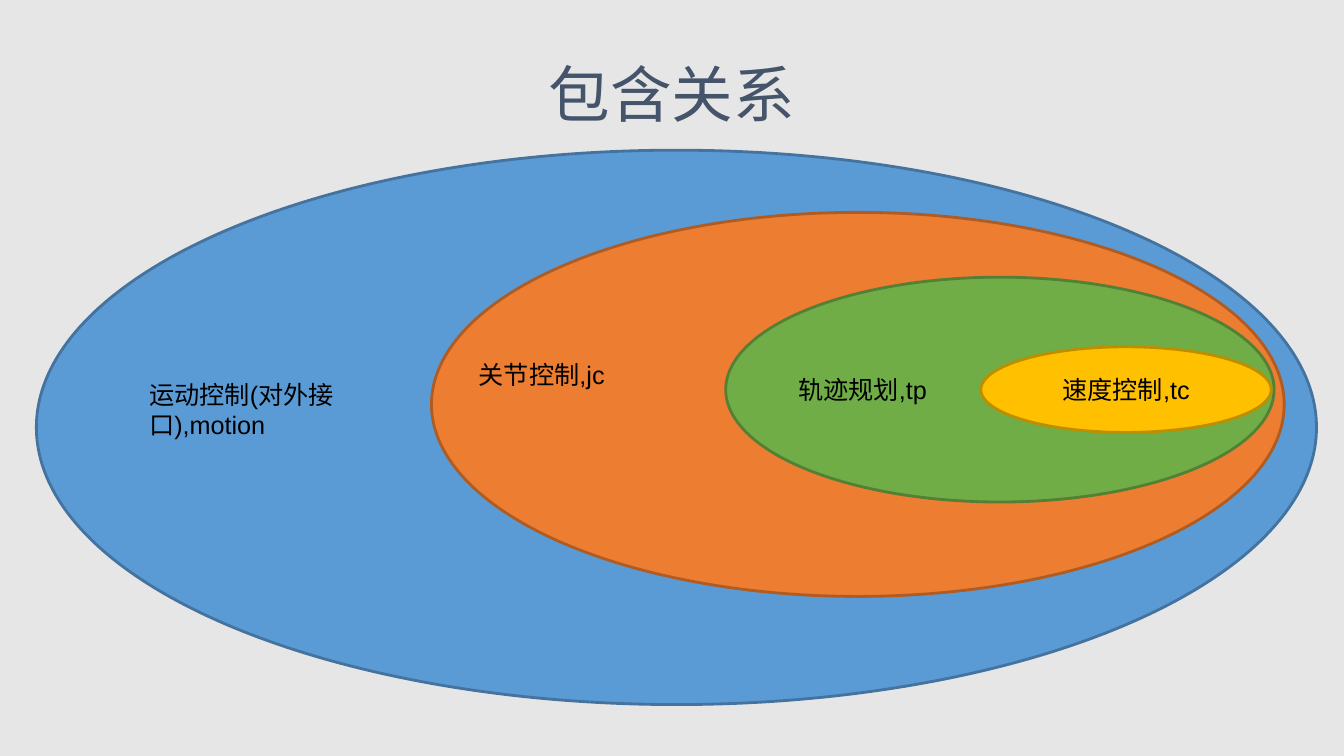
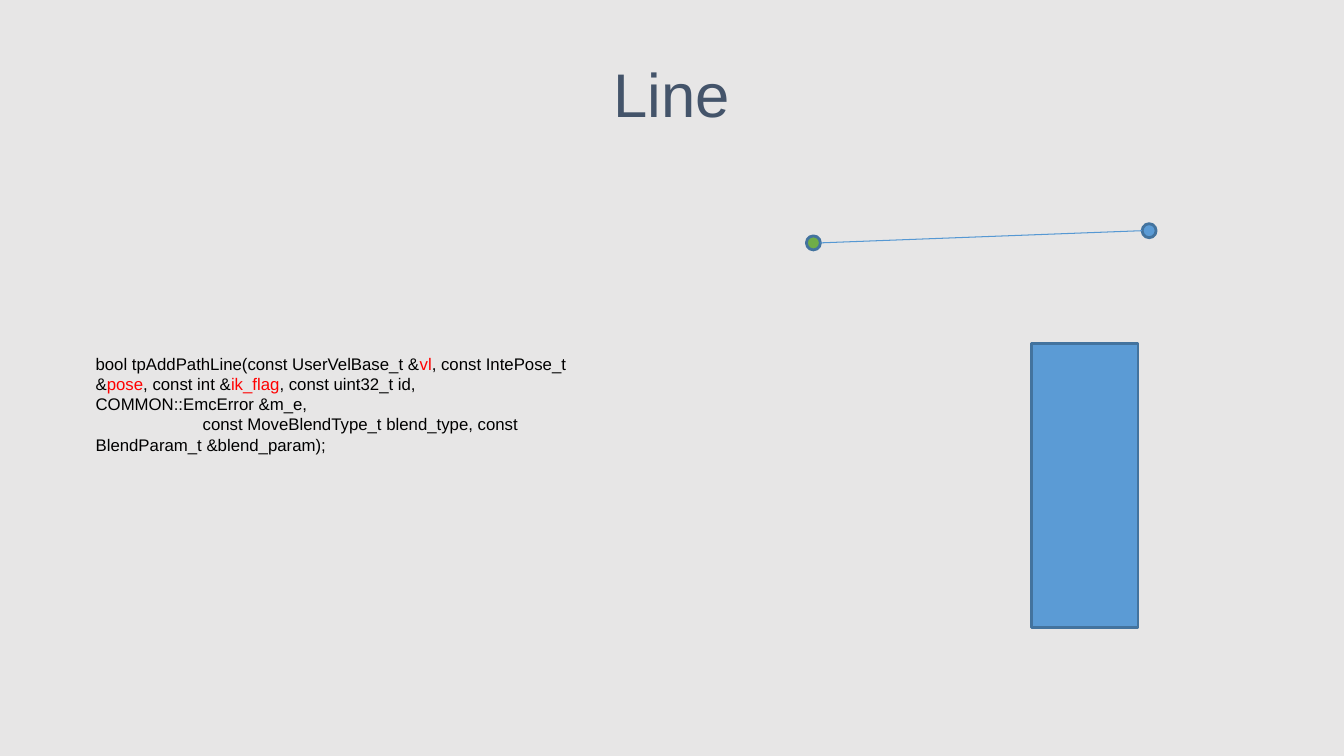
from dataclasses import dataclass

import pptx
import pptx.dml.color
import pptx.enum.shapes
import pptx.enum.text
import pptx.oxml.ns
import pptx.util
from lxml import etree

Pt = pptx.util.Pt
RGB = pptx.dml.color.RGBColor.from_string
SHAPE = pptx.enum.shapes.MSO_SHAPE
ALIGN = pptx.enum.text.PP_ALIGN
ANCHOR = pptx.enum.text.MSO_ANCHOR


@dataclass(frozen=True)
class Theme:
    font: str = "Arial"
    title_size: float = 44
    label_size: float = 18
    code_size: float = 12
    outline: float = 2
    thin: float = 0.75
    background: str = "E7E6E6"
    title: str = "44546A"
    text: str = "000000"
    accent: str = "FF0000"
    blue: str = "5B9BD5"
    blue_edge: str = "43739E"
    path_line: str = "5698D3"
    orange: str = "ED7D31"
    orange_edge: str = "AF5C24"
    green: str = "70AD47"
    green_edge: str = "538035"
    yellow: str = "FFC000"
    yellow_edge: str = "BD8E00"


THEME = Theme()


@dataclass(frozen=True)
class Box:
    left: float
    top: float
    width: float
    height: float

    def emu(self) -> tuple:
        return tuple(Pt(v) for v in (self.left, self.top, self.width, self.height))

    @property
    def middle(self) -> float:
        return self.top + self.height / 2


@dataclass(frozen=True)
class Figure:
    box: Box
    fill: str
    edge: str
    kind: int = SHAPE.OVAL
    text: str = ""


@dataclass(frozen=True)
class Label:
    box: Box
    text: str


DOT = 10
TITLE_BOX = Box(48, 21.6, 864, 90)

LAYERS = [
    Figure(Box(26, 107.3, 914.4, 396), THEME.blue, THEME.blue_edge),
    Figure(Box(308.2, 151.7, 609.1, 274.3), THEME.orange, THEME.orange_edge),
    Figure(Box(518.4, 198, 391.7, 160.6), THEME.green, THEME.green_edge),
    Figure(Box(700.6, 247.7, 207.4, 61.2), THEME.yellow, THEME.yellow_edge,
           text="速度控制,tc"),
]
LABELS = [
    Label(Box(99.4, 267.1, 182.9, 50.4), "运动控制(对外接口),motion"),
    Label(Box(563, 264.2, 139.7, 28.8), "轨迹规划,tp"),
    Label(Box(334.8, 253.4, 128.2, 28.8), "关节控制,jc"),
]

BLOCK = Figure(Box(736.6, 245.5, 76.3, 203), THEME.blue, THEME.blue_edge, SHAPE.RECTANGLE)
START = Figure(Box(576, 168.5, DOT, DOT), THEME.green, THEME.blue_edge)
END = Figure(Box(815.8, 159.8, DOT, DOT), THEME.blue, THEME.blue_edge)

CODE_BOX = Box(61.2, 249.1, 358.6, 79.2)
CODE_INDENT = 76.5
SIGNATURE = [
    ("bool tpAddPathLine(const UserVelBase_t &", THEME.text),
    ("vl", THEME.accent),
    (", const IntePose_t &", THEME.text),
    ("pose", THEME.accent),
    (", const int &", THEME.text),
    ("ik_flag", THEME.accent),
    (", const uint32_t id, COMMON::EmcError &m_e,", THEME.text),
]
SIGNATURE_END = [("const MoveBlendType_t blend_type, const BlendParam_t &blend_param);", THEME.text)]


def add_run(p, text: str, size: float, color: str = THEME.text) -> None:
    r = p.add_run()
    r.text = text
    for name, value in {"name": THEME.font, "size": Pt(size), "bold": False}.items():
        setattr(r.font, name, value)
    r.font.color.rgb = RGB(color)


def add_titled_slide(prs, title: str):
    s = prs.slides.add_slide(prs.slide_layouts.get_by_name("Title Only"))
    sp = s.shapes.title
    sp.left, sp.top, sp.width, sp.height = TITLE_BOX.emu()
    tf = sp.text_frame
    tf.vertical_anchor = ANCHOR.MIDDLE
    p = tf.paragraphs[0]
    p.alignment = ALIGN.CENTER
    add_run(p, title, THEME.title_size, THEME.title)
    return s


def add_figure(s, figure: Figure) -> None:
    sp = s.shapes.add_shape(figure.kind, *figure.box.emu())
    sp.shadow.inherit = False
    sp.fill.solid()
    sp.fill.fore_color.rgb = RGB(figure.fill)
    sp.line.color.rgb = RGB(figure.edge)
    sp.line.width = Pt(THEME.outline)
    if figure.text:
        tf = sp.text_frame
        tf.vertical_anchor = ANCHOR.MIDDLE
        p = tf.paragraphs[0]
        p.alignment = ALIGN.CENTER
        add_run(p, figure.text, THEME.label_size)


def add_text_frame(s, box: Box):
    tf = s.shapes.add_textbox(*box.emu()).text_frame
    tf.word_wrap = True
    tf.auto_size = pptx.enum.text.MSO_AUTO_SIZE.SHAPE_TO_FIT_TEXT
    return tf


def add_path(s, start: Box, end: Box) -> None:
    """Join the right edge of one dot to the left edge of the next."""
    ends = (start.left + start.width, start.middle, end.left, end.middle)
    cx = s.shapes.add_connector(pptx.enum.shapes.MSO_CONNECTOR.STRAIGHT, *map(Pt, ends))
    cx.line.color.rgb = RGB(THEME.path_line)
    cx.line.width = Pt(THEME.thin)
    etree.SubElement(cx.element.spPr, pptx.oxml.ns.qn("a:effectLst"))


def build_containment(prs) -> None:
    s = add_titled_slide(prs, "包含关系")
    for layer in LAYERS:
        add_figure(s, layer)
    for label in LABELS:
        tf = add_text_frame(s, label.box)
        add_run(tf.paragraphs[0], label.text, THEME.label_size)


def build_line(prs) -> None:
    s = add_titled_slide(prs, "Line")
    for figure in (BLOCK, START, END):
        add_figure(s, figure)
    add_path(s, START.box, END.box)

    tf = add_text_frame(s, CODE_BOX)
    first, second = tf.paragraphs[0], tf.add_paragraph()
    for p, parts in ((first, SIGNATURE), (second, SIGNATURE_END)):
        for text, color in parts:
            add_run(p, text, THEME.code_size, color)
    p_pr = second._p.get_or_add_pPr()
    for name, value in {"marL": 0, "indent": Pt(CODE_INDENT)}.items():
        p_pr.set(name, str(int(value)))


def main() -> None:
    prs = pptx.Presentation()
    prs.slide_width, prs.slide_height = Pt(960), Pt(540)
    fill = prs.slide_master.background.fill
    fill.solid()
    fill.fore_color.rgb = RGB(THEME.background)
    build_containment(prs)
    build_line(prs)
    prs.save("out.pptx")


if __name__ == "__main__":
    main()
